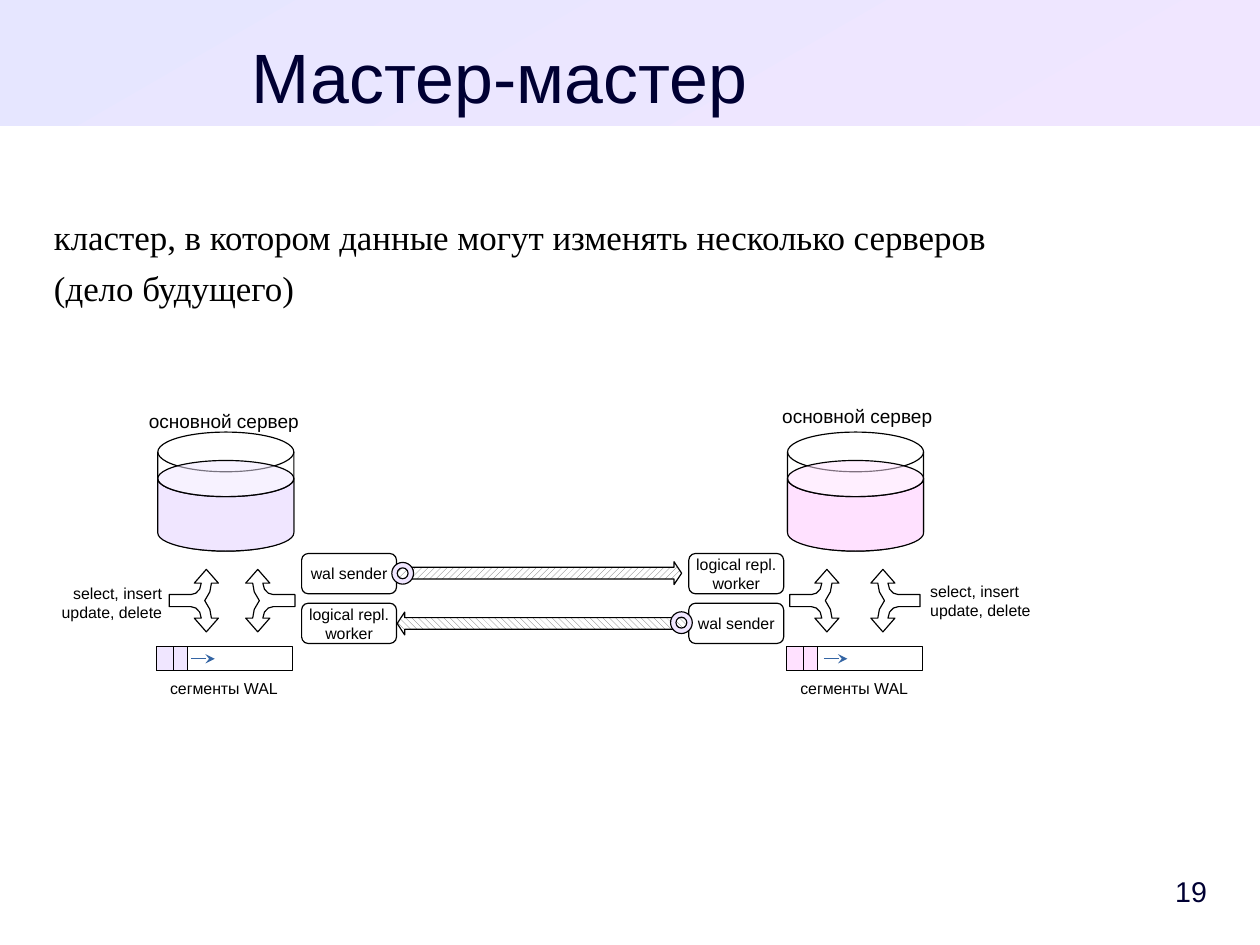
import math

from lxml import etree
from pptx import Presentation
from pptx.dml.color import RGBColor
from pptx.enum.dml import MSO_PATTERN
from pptx.enum.shapes import MSO_CONNECTOR, MSO_SHAPE
from pptx.enum.text import MSO_ANCHOR, PP_ALIGN
from pptx.oxml.ns import qn
from pptx.util import Pt

RECT, ROUND, OVAL = MSO_SHAPE.RECTANGLE, MSO_SHAPE.ROUNDED_RECTANGLE, MSO_SHAPE.OVAL
DISK, DONUT = MSO_SHAPE.FLOWCHART_MAGNETIC_DISK, MSO_SHAPE.DONUT
TO_LEFT, TO_RIGHT = MSO_SHAPE.LEFT_ARROW, MSO_SHAPE.RIGHT_ARROW
DOWN, UP = MSO_PATTERN.WIDE_DOWNWARD_DIAGONAL, MSO_PATTERN.WIDE_UPWARD_DIAGONAL
TOP, MIDDLE = MSO_ANCHOR.TOP, MSO_ANCHOR.MIDDLE
LEFT, CENTER, RIGHT = PP_ALIGN.LEFT, PP_ALIGN.CENTER, PP_ALIGN.RIGHT
STRAIGHT = MSO_CONNECTOR.STRAIGHT

BLACK = RGBColor(0, 0, 0)
WHITE = RGBColor(255, 255, 255)
NAVY = RGBColor(0x00, 0x00, 0x33)
BLUE = RGBColor(0x34, 0x65, 0xA4)
GREY = RGBColor(0x66, 0x66, 0x66)
SKY = RGBColor(0xE6, 0xE6, 0xFF)
LILAC = RGBColor(0xF0, 0xE6, 0xFF)
PINK = RGBColor(0xFF, 0xE1, 0xFF)


def style(shape, fill=None):
    """Give a shape a hairline border, no shadow and a plain fill or none."""
    shape.shadow.inherit = False
    shape.line.color.rgb = BLACK
    shape.line.width = Pt(0)
    if fill is None:
        shape.fill.background()
    else:
        shape.fill.solid()
        shape.fill.fore_color.rgb = fill
    return shape


def write(shape, lines, size, align=CENTER, color=BLACK, anchor=TOP, font="Arial", gap=0):
    frame = shape.text_frame
    frame.word_wrap = True
    frame.vertical_anchor = anchor
    frame.margin_left = frame.margin_right = frame.margin_top = frame.margin_bottom = 0
    for i, line in enumerate(lines):
        para = frame.paragraphs[0] if i == 0 else frame.add_paragraph()
        para.text = line
        para.alignment = align
        para.space_after = Pt(gap)
        para.font.size = Pt(size)
        para.font.name = font
        para.font.color.rgb = color


prs = Presentation()
prs.slide_width, prs.slide_height = Pt(793.7), Pt(595.3)
slide = prs.slides.add_slide(prs.slide_layouts[6])
shapes = slide.shapes

# Header band
band = style(shapes.add_shape(RECT, 0, 0, prs.slide_width, Pt(79.2)))
band.line.fill.background()
band.fill.gradient()
band.fill.gradient_angle = 300
for stop, color in zip(band.fill.gradient_stops, (SKY, LILAC)):
    stop.color.rgb = color

# Free text: left, top, width, height, lines, looks
QUERY = ["select, insert", "update, delete"]
SERVER = ["основной сервер"]
WAL = ["сегменты WAL"]
BODY = ["кластер, в котором данные могут изменять несколько серверов", "(дело будущего)"]
texts = [
    (34, 21, 561.6, 49.7, ["Мастер-мастер"], dict(size=44, color=NAVY)),
    (34, 136.1, 725.8, 408, BODY, dict(size=22, align=LEFT, font="Times New Roman", gap=5.7)),
    (697.7, 544.3, 62.6, 33.8, ["19"], dict(size=18, align=RIGHT, color=NAVY, anchor=MIDDLE)),
    (82, 257.8, 118, 16, SERVER, dict(size=12)),
    (481, 254.9, 118, 16, SERVER, dict(size=12)),
    (30, 367.9, 72, 25, QUERY, dict(size=10, align=RIGHT)),
    (586, 366.5, 72, 25, QUERY, dict(size=10, align=LEFT)),
    (100, 427.7, 82, 13, WAL, dict(size=10)),
    (497, 427.7, 82, 13, WAL, dict(size=10)),
]
for x, y, w, h, lines, looks in texts:
    write(shapes.add_textbox(Pt(x), Pt(y), Pt(w), Pt(h)), lines, **looks)

# Upper half of a forked arrow, from its tail at (0, 0)
half = [(0, -3.8), (13.7, -3.8), (16.8, -4.7), (19.2, -7.2), (20.2, -11),
        (15.8, -11), (23.4, -19.7), (31, -11), (26.6, -11), (25.6, -5.5), (22.4, 0)]
fork = half + [(x, -y) for x, y in half[-2::-1]]

DISK_W, DISK_H, DISK_TOP = 85.7, 75, 272.2
RIM, LEVEL, BASE = 11.4, 301.5, 335.8
WAL_TOP, WAL_H = 407.5, 15.1
servers = [
    (99.4, LILAC, (106.6, 1), (185.8, -1), 120.5),
    (496.1, PINK, (497.5, 1), (579.6, -1), 519),
]
for left, tint, *forks, mark in servers:
    style(shapes.add_shape(DISK, Pt(left), Pt(DISK_TOP), Pt(DISK_W), Pt(DISK_H)), WHITE)

    # Liquid: lower rim to the right, upper rim back to the left
    radius = DISK_W / 2
    turns = [math.pi * i / 24 for i in range(25)]
    bottom = [(left + radius - radius * math.cos(t), BASE + RIM * math.sin(t)) for t in turns]
    edge = [(x, y + LEVEL - BASE) for x, y in reversed(bottom)]
    outlines = [(bottom + edge, tint)]
    for tail, way in forks:
        outlines.append(([(tail + way * x, 378.4 + y) for x, y in fork], WHITE))
    for points, fill in outlines:
        units = [(x * 100, y * 100) for x, y in points]
        form = shapes.build_freeform(*units[0], scale=Pt(1) / 100)
        form.add_line_segments(units[1:], close=True)
        style(form.convert_to_shape(), fill)

    surface = style(shapes.add_shape(OVAL, Pt(left), Pt(LEVEL - RIM), Pt(DISK_W), Pt(2 * RIM)), tint)
    shade = surface._element.spPr.find(qn("a:solidFill"))[0]
    etree.SubElement(shade, qn("a:alpha"), val="50000")

    # WAL segments: two filled cells inside a frame
    start = left - 0.7
    for x, w, fill in ((0, 10.8, tint), (10.8, 8.6, tint), (0, DISK_W, None)):
        style(shapes.add_shape(RECT, Pt(start + x), Pt(WAL_TOP), Pt(w), Pt(WAL_H)), fill)
    arrow = shapes.add_connector(STRAIGHT, Pt(mark), Pt(415), Pt(mark + 14.8), Pt(415))
    arrow.line.color.rgb = BLUE
    arrow.line.width = Pt(0.85)
    etree.SubElement(arrow.line._get_or_add_ln(), qn("a:tailEnd"), type="stealth")
    etree.SubElement(arrow._element.spPr, qn("a:effectLst"))

# Replication streams
streams = [
    (TO_LEFT, 250.2, 385.6, 225.4, DOWN),
    (TO_RIGHT, 201.2, 353.9, 228.2, UP),
]
for kind, x, y, w, hatch in streams:
    stream = style(shapes.add_shape(kind, Pt(x), Pt(y), Pt(w), Pt(14.4)))
    stream.adjustments[0], stream.adjustments[1] = 0.51, 0.33
    stream.fill.patterned()
    stream.fill.pattern = hatch
    stream.fill.fore_color.rgb = GREY
    stream.fill.back_color.rgb = WHITE

# Processes, the sender and worker swapped between rows
SENDER, WORKER = ["wal sender"], ["logical repl.", "worker"]
for y, pair in ((348.7, (SENDER, WORKER)), (380, (WORKER, SENDER))):
    for x, lines in zip((190, 433.9), pair):
        box = style(shapes.add_shape(ROUND, Pt(x), Pt(y), Pt(59.8), Pt(25.4)), WHITE)
        write(box, lines, 10, anchor=MIDDLE)

for x, y in ((246.8, 354.3), (422.4, 385.4)):
    style(shapes.add_shape(DONUT, Pt(x), Pt(y), Pt(13.7), Pt(13.7)), LILAC)

prs.save("out.pptx")
